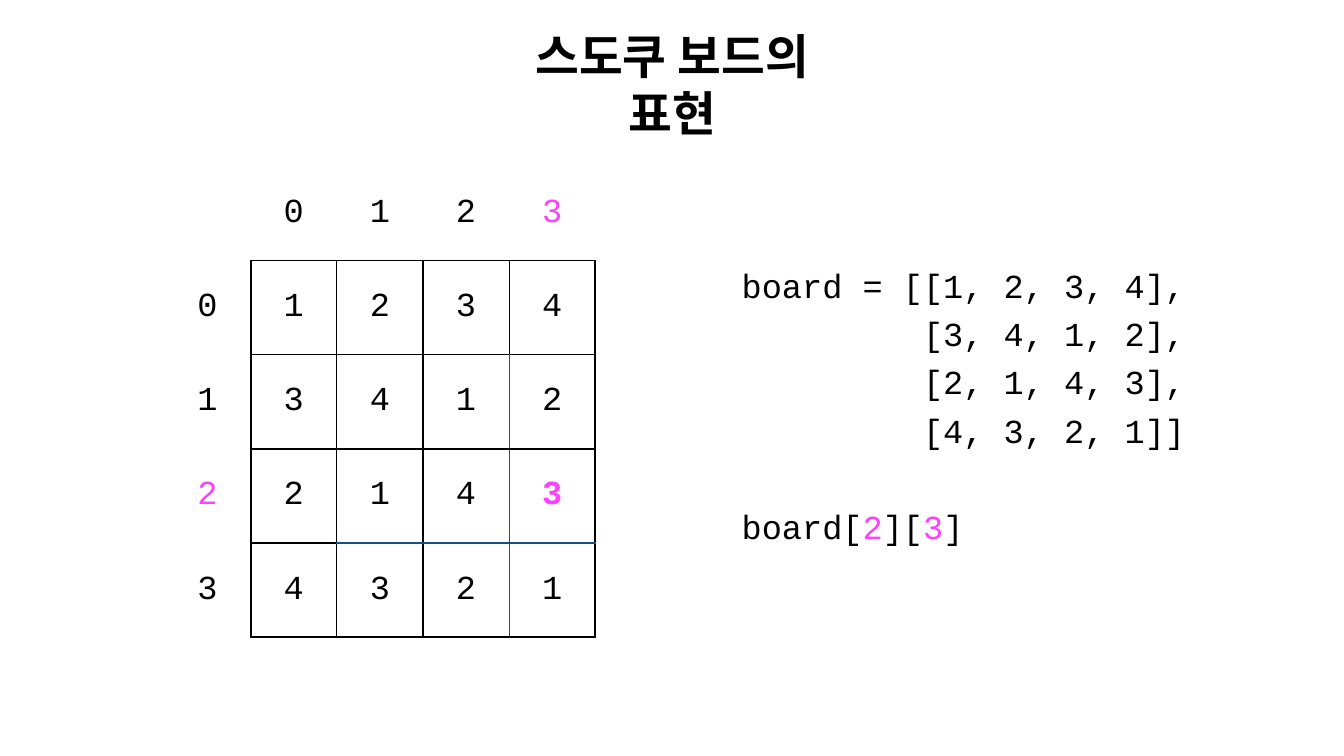
from dataclasses import dataclass

from lxml import etree
from pptx import Presentation
from pptx.dml.color import RGBColor
from pptx.enum.text import MSO_ANCHOR, MSO_AUTO_SIZE, PP_ALIGN
from pptx.oxml.ns import qn
from pptx.util import Pt

MIDDLE = MSO_ANCHOR.MIDDLE
CENTER = PP_ALIGN.CENTER
GROW = MSO_AUTO_SIZE.SHAPE_TO_FIT_TEXT
NO_STYLE = "{2D5ABB26-0587-4C30-8999-92F81FD0307C}"


@dataclass(frozen=True)
class Theme:
    """Colours, fonts and sizes of the slide."""
    ink: str = "000000"
    paper: str = "FFFFFF"
    accent: str = "FF40FF"
    blue: str = "164F86"
    title_font: str = "Roboto"
    code_font: str = "Courier New"
    title_size: float = 68
    code_size: float = 48
    code_pitch: float = 69
    thick: float = 3
    thin: float = 2
    inset: float = 6
    cell_inset: float = 4


THEME = Theme()
BOARD = [[1, 2, 3, 4], [3, 4, 1, 2], [2, 1, 4, 3], [4, 3, 2, 1]]
PICKED_ROW, PICKED_COLUMN = 2, 3


def style(run, font, size, color, bold=False):
    """Format one run."""
    run.font.name = font
    run.font.size = Pt(size)
    run.font.bold = bold
    run.font.color.rgb = RGBColor.from_string(color)


def add_frame(slide, box, wrap, bottom=THEME.inset):
    """Add a vertically centred text box and return its frame."""
    frame = slide.shapes.add_textbox(*map(Pt, box)).text_frame
    frame.word_wrap = wrap
    frame.vertical_anchor = MIDDLE
    frame.margin_left = frame.margin_right = frame.margin_top = Pt(THEME.inset)
    frame.margin_bottom = Pt(bottom)
    return frame


def add_title(slide, box):
    """Place the slide title."""
    frame = add_frame(slide, box, wrap=False)
    frame.auto_size = GROW
    frame.text = "스도쿠 보드의 표현"
    title = frame.paragraphs[0]
    title.alignment = CENTER
    style(title.runs[0], THEME.title_font, THEME.title_size, THEME.ink, bold=True)


def add_code(slide, box):
    """Place the board literal and the lookup expression below it."""
    frame = add_frame(slide, box, wrap=True, bottom=64)
    ink, accent = THEME.ink, THEME.accent
    opening = "board = ["
    lines = [[((" " * len(opening) if number else opening) + str(row)
               + ("," if number < len(BOARD) - 1 else "]"), ink)]
             for number, row in enumerate(BOARD)]
    lookup = [("board[", ink), (str(PICKED_ROW), accent), ("][", ink),
              (str(PICKED_COLUMN), accent), ("]", ink)]
    for number, line in enumerate(lines + [lookup]):
        paragraph = frame.add_paragraph() if number else frame.paragraphs[0]
        paragraph.line_spacing = Pt(THEME.code_pitch)
        if line is lookup:
            paragraph.space_before = Pt(THEME.code_pitch)
        for text, color in line:
            run = paragraph.add_run()
            run.text = text
            style(run, THEME.code_font, THEME.code_size, color)


def grid_line(index, across):
    """Return width and colour of a board line at a position across it."""
    if index % 2 == 0:
        return THEME.thick, THEME.ink
    return THEME.thin, THEME.blue if index == 3 and across >= 1 else THEME.ink


def cell_borders(row, column):
    """Return left, right, top and bottom lines; board cells start at zero."""
    on_row, on_column = row >= 0, column >= 0
    sides = {
        "L": grid_line(column, row) if on_row and on_column else None,
        "R": grid_line(column + 1, row) if on_row else None,
        "T": grid_line(row, column) if on_row and on_column else None,
        "B": grid_line(row + 1, column) if on_column else None,
    }
    return sides


def draw_borders(cell, sides):
    """Write the border lines of a table cell."""
    properties = cell._tc.get_or_add_tcPr()
    for side, border in sides.items():
        line = etree.SubElement(properties, qn(f"a:ln{side}"))
        if border is None:
            line.set("w", "0")
            etree.SubElement(line, qn("a:noFill"))
            continue
        width, color = border
        line.set("w", str(Pt(width)))
        fill = etree.SubElement(line, qn("a:solidFill"))
        etree.SubElement(fill, qn("a:srgbClr")).set("val", color)


def fill_cell(cell, row, column):
    """Set borders, fill and text of a cell at a board position."""
    draw_borders(cell, cell_borders(row, column))
    cell.fill.solid()
    cell.fill.fore_color.rgb = RGBColor.from_string(THEME.paper)
    if row < 0 and column < 0:
        return
    label = column if row < 0 else row if column < 0 else BOARD[row][column]
    picked = (row in (-1, PICKED_ROW) and column in (-1, PICKED_COLUMN))
    cell.vertical_anchor = MIDDLE
    cell.margin_left = cell.margin_right = Pt(THEME.cell_inset)
    cell.margin_top = cell.margin_bottom = Pt(THEME.cell_inset)
    cell.text = str(label)
    paragraph = cell.text_frame.paragraphs[0]
    paragraph.alignment = CENTER
    style(paragraph.runs[0], THEME.code_font, THEME.code_size,
          THEME.accent if picked else THEME.ink,
          bold=picked and row >= 0 and column >= 0)


def add_board(slide, box):
    """Place the board table with its row and column numbers."""
    count = len(BOARD) + 1
    left, top, width, height = box
    table = slide.shapes.add_table(count, count, *map(Pt, box)).table
    table.first_row = table.horz_banding = False
    table._tbl.tblPr.find(qn("a:tableStyleId")).text = NO_STYLE
    for index in range(count):
        table.columns[index].width = Pt(width / count)
        table.rows[index].height = Pt(height / count)
        for column in range(count):
            fill_cell(table.cell(index, column), index - 1, column - 1)


def main():
    """Build and save the slide."""
    deck = Presentation()
    deck.slide_width, deck.slide_height = Pt(1920), Pt(1080)
    slide = deck.slides.add_slide(deck.slide_layouts[6])
    add_title(slide, (700, 71, 520.5, 98))
    add_code(slide, (1053.5, 333.5, 696, 538))
    add_board(slide, (235, 237.5, 615.5, 673))
    deck.save("out.pptx")


if __name__ == "__main__":
    main()
